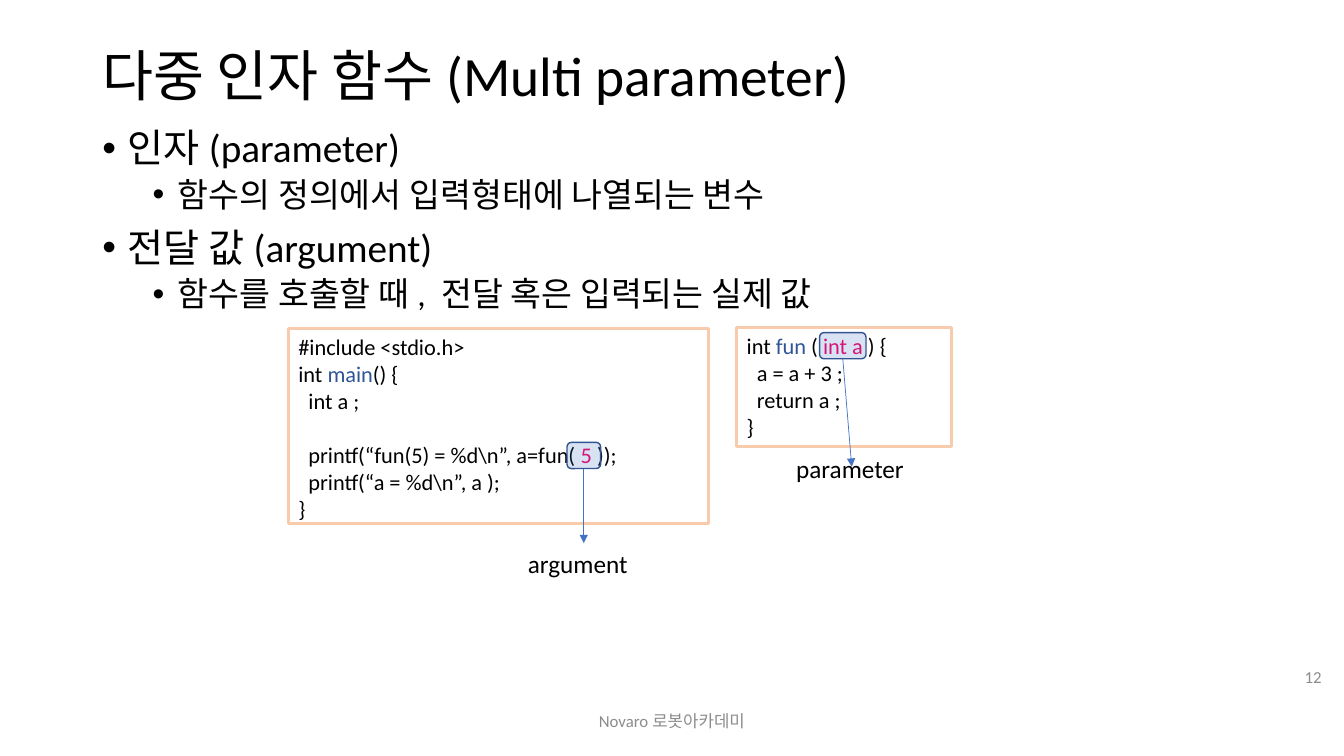
from dataclasses import dataclass
from lxml.etree import SubElement
from pptx import Presentation
from pptx.dml.color import RGBColor
from pptx.enum.shapes import MSO_CONNECTOR, MSO_SHAPE
from pptx.enum.text import MSO_ANCHOR, PP_ALIGN
from pptx.oxml.ns import qn
from pptx.util import Pt


@dataclass(frozen=True)
class Theme:
    font: str = "Calibri"
    ink: str = "000000"
    gray: str = "8C8C8C"
    name: str = "2F5597"
    value: str = "F60064"
    paper: str = "FFFFFF"
    frame: str = "F8CBAD"
    accent: str = "4472C4"
    edge: str = "325491"
    title: float = 39.6
    point: float = 28
    detail: float = 24
    label: float = 18
    code: float = 16
    line: float = 19.5
    small: float = 12


THEME = Theme()

POINTS = [
    (0, "인자(parameter)"),
    (1, "함수의 정의에서 입력형태에 나열되는 변수"),
    (0, "전달 값(argument)"),
    (1, "함수를 호출할 때, 전달 혹은 입력되는 실제 값"),
]

MAIN = [
    [("#include <stdio.h>", THEME.ink)],
    [("int ", THEME.ink), ("main", THEME.name), ("() {", THEME.ink)],
    [("  int a ;", THEME.ink)],
    [],
    [("  printf(“fun(5) = %d\\n”, a=fun( ", THEME.ink), ("5", THEME.value),
     (" ));", THEME.ink)],
    [("  printf(“a = %d\\n”, a );", THEME.ink)],
    [("}", THEME.ink)],
]

FUN = [
    [("int ", THEME.ink), ("fun", THEME.name), (" ( ", THEME.ink),
     ("int a", THEME.value), (" ) {", THEME.ink)],
    [("  a = a + 3 ;", THEME.ink)],
    [("  return a ;", THEME.ink)],
    [("}", THEME.ink)],
]


def color(code):
    return RGBColor.from_string(code)


def points(box):
    return [Pt(n) for n in box]


def style(para, size, ink=THEME.ink):
    para.font.name = THEME.font
    para.font.size = Pt(size)
    para.font.color.rgb = color(ink)


def add_text(slide, box, text, size, ink=THEME.ink, align=PP_ALIGN.LEFT,
             anchor=MSO_ANCHOR.MIDDLE, wrap=True):
    frame = slide.shapes.add_textbox(*points(box)).text_frame
    frame.word_wrap = wrap
    frame.vertical_anchor = anchor
    para = frame.paragraphs[0]
    para.text = text
    para.alignment = align
    style(para, size, ink)
    return para


def add_points(slide, box, items):
    frame = slide.shapes.add_textbox(*points(box)).text_frame
    frame.word_wrap = True
    for i, (level, text) in enumerate(items):
        para = frame.add_paragraph() if i else frame.paragraphs[0]
        para.text = text
        para.level = level
        props = para._p.get_or_add_pPr()
        props.set("marL", str(Pt(18 + 36 * level)))
        props.set("indent", str(Pt(-18)))
        SubElement(props, qn("a:buFont"), typeface="Arial")
        SubElement(props, qn("a:buChar"), char="•")
        para.line_spacing = 0.9
        if i:
            para.space_before = Pt(5 if level else 10)
        style(para, THEME.detail if level else THEME.point)


def add_shape(slide, kind, box, fill, edge, width):
    shape = slide.shapes.add_shape(kind, *points(box))
    shape.shadow.inherit = False
    shape.fill.solid()
    shape.fill.fore_color.rgb = color(fill)
    shape.line.color.rgb = color(edge)
    shape.line.width = Pt(width)
    return shape


def add_code(slide, box, lines):
    shape = add_shape(slide, MSO_SHAPE.RECTANGLE, box, THEME.paper,
                      THEME.frame, 2.25)
    frame = shape.text_frame
    frame.word_wrap = True
    frame.vertical_anchor = MSO_ANCHOR.TOP
    gap = 0
    for i, line in enumerate(lines):
        if not line:
            gap += THEME.line
            continue
        para = frame.add_paragraph() if i else frame.paragraphs[0]
        para.alignment = PP_ALIGN.LEFT
        if gap:
            para.space_before = Pt(gap)
            gap = 0
        style(para, THEME.code)
        for text, ink in line:
            run = para.add_run()
            run.text = text
            run.font.color.rgb = color(ink)


def add_mark(slide, box):
    shape = add_shape(slide, MSO_SHAPE.ROUNDED_RECTANGLE, box, THEME.accent,
                      THEME.edge, 1)
    tint = shape._element.spPr.find(qn("a:solidFill"))[0]
    SubElement(tint, qn("a:alpha"), val="20000")


def add_arrow(slide, start, end):
    arrow = slide.shapes.add_connector(MSO_CONNECTOR.STRAIGHT,
                                       *points(start + end))
    arrow.line.color.rgb = color(THEME.accent)
    arrow.line.width = Pt(0.5)
    SubElement(arrow.line._get_or_add_ln(), qn("a:tailEnd"), type="triangle")
    SubElement(arrow._element.spPr, qn("a:effectLst"))


def add_callout(slide, mark, text, label, tip):
    add_mark(slide, mark)
    add_text(slide, label + (94, 29), text, THEME.label,
             anchor=MSO_ANCHOR.TOP, wrap=False)
    left, top, width, height = mark
    add_arrow(slide, (left + width / 2, top + height), tip)


def main():
    deck = Presentation()
    deck.slide_width, deck.slide_height = Pt(960), Pt(540)
    slide = deck.slides.add_slide(deck.slide_layouts[6])

    title = add_text(slide, (66, 29, 828, 54),
                     "다중 인자 함수(Multi parameter)", THEME.title)
    title.line_spacing = 0.9
    add_points(slide, (66, 88.5, 828, 398), POINTS)
    add_text(slide, (318, 500.5, 324, 28.8), "Novaro로봇아카데미", THEME.small,
             THEME.gray, PP_ALIGN.CENTER)
    add_text(slide, (906.5, 468.7, 44.6, 28.8), "12", THEME.small,
             THEME.gray, PP_ALIGN.RIGHT)

    add_code(slide, (206, 234.7, 300, 139), MAIN)
    add_code(slide, (526.3, 234, 153.4, 85), FUN)
    add_callout(slide, (405, 316, 24, 18.7), "argument", (370, 388), (417, 388))
    add_callout(slide, (585.4, 237.6, 33.2, 18.7), "parameter",
                (561.6, 320.4), (608.4, 333.4))
    deck.save("out.pptx")


if __name__ == "__main__":
    main()
